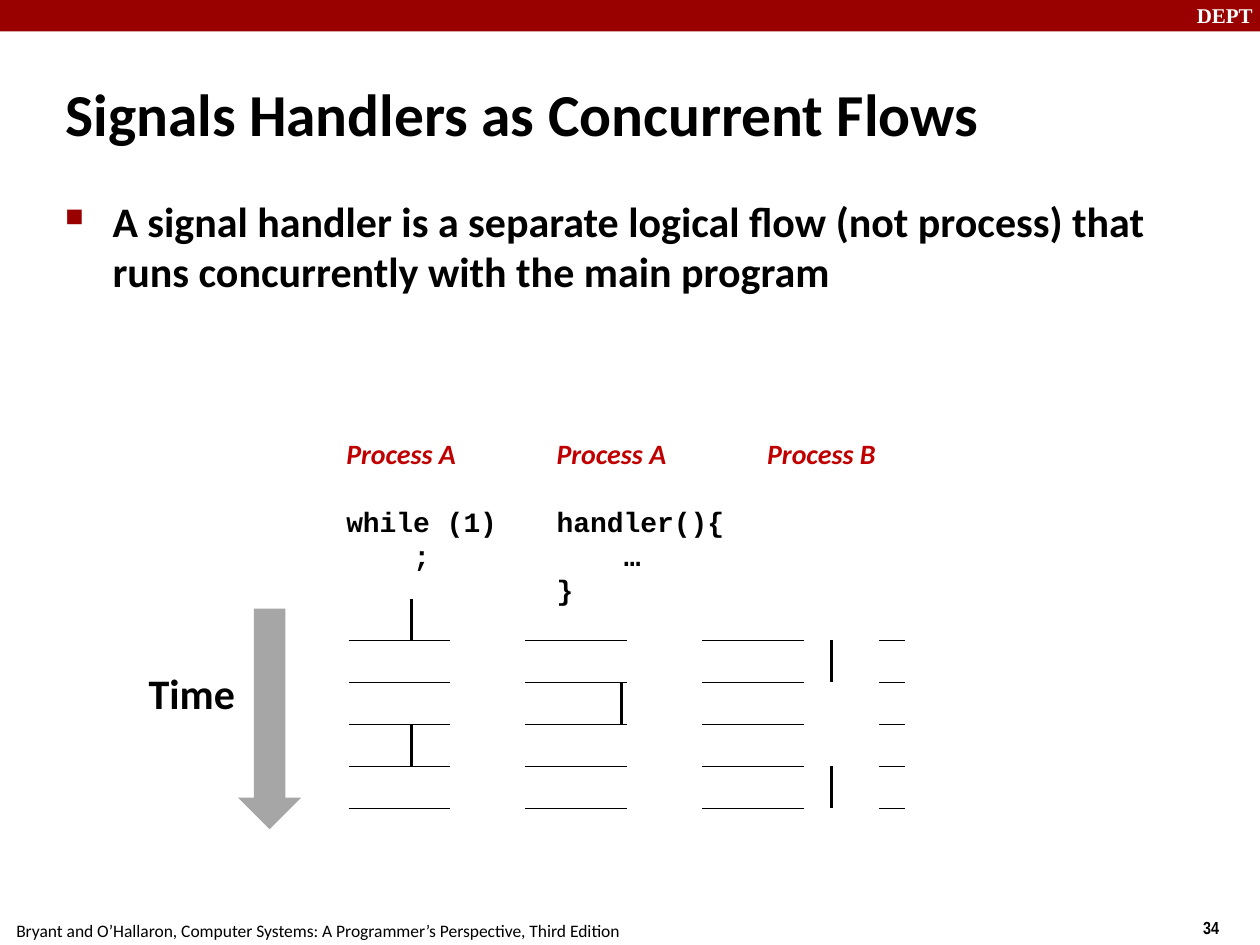
from typing import NamedTuple

from lxml import etree
from pptx import Presentation
from pptx.dml.color import RGBColor
from pptx.enum import shapes, text
from pptx.oxml.ns import qn
from pptx.util import Pt

BLACK, WHITE, RED, DARK_RED, GREY = "000000", "FFFFFF", "C00000", "990000", "A6A6A6"
CODE_INDENT = 38.4  # four characters of 16 pt Courier New
FLOW_TOP, STEP = 342, 24
SWITCH_LEFT, SWITCH_RIGHT = 199.2, 517


class Style(NamedTuple):
    size: float
    font: str = "Calibri"
    color: str = BLACK
    bold: bool = True
    italic: bool = False


class Label(NamedTuple):
    text: str
    left: float
    top: float
    width: float
    height: float
    style: Style
    wrap: bool = False


class CodeLine(NamedTuple):
    text: str
    indent: float = 0


class Flow(NamedTuple):
    label: Label
    code: list[CodeLine]
    x: float
    active_steps: list[int]


HEADING = Style(16, color=RED, italic=True)
CODE = Style(16, "Courier New")

LABELS = [
    Label("DEPT", 676.8, -2.2, 48.2, 21.6, Style(12, "Times New Roman", WHITE)),
    Label("34", 680.4, 520.6, 54, 18.7, Style(10, "Arial Narrow")),
    Label("Bryant and O’Hallaron, Computer Systems: A Programmer’s Perspective, "
          "Third Edition", 2.2, 522, 359.3, 18.7, Style(10, bold=False)),
    Label("Time", 77.8, 378, 64.1, 36, Style(24)),
]

FLOWS = [
    Flow(Label("Process A", 190.8, 246.2, 100.8, 83.5, HEADING),
         [CodeLine("while (1)"), CodeLine(";", CODE_INDENT)], 235.2, [0, 3]),
    Flow(Label("Process A", 311, 246.2, 110.2, 103, HEADING),
         [CodeLine("handler(){"), CodeLine("…", CODE_INDENT), CodeLine("}")],
         355.2, [2]),
    Flow(Label("Process B", 431.3, 246.2, 76.3, 25.9, HEADING), [], 475.2, [1, 4]),
]


def rgb(value: str) -> RGBColor:
    return RGBColor.from_string(value)


def apply_style(p, style: Style) -> None:
    p.alignment = text.PP_ALIGN.LEFT
    f = p.font
    f.size, f.name = Pt(style.size), style.font
    f.bold, f.italic = style.bold, style.italic
    f.color.rgb = rgb(style.color)


def set_indent(p, left: float, first: float = 0) -> None:
    pPr = p._p.get_or_add_pPr()
    pPr.set("marL", str(Pt(left)))
    pPr.set("indent", str(Pt(first)))


def add_label(slide, label: Label):
    sp = slide.shapes.add_textbox(Pt(label.left), Pt(label.top),
                                  Pt(label.width), Pt(label.height))
    tf = sp.text_frame
    tf.word_wrap = label.wrap
    p = tf.paragraphs[0]
    p.text = label.text
    apply_style(p, label.style)
    return tf


def add_block(slide, kind, left: float, top: float, width: float, height: float,
              color: str) -> None:
    sp = slide.shapes.add_shape(kind, Pt(left), Pt(top), Pt(width), Pt(height))
    sp.shadow.inherit = False
    sp.fill.solid()
    sp.fill.fore_color.rgb = rgb(color)
    sp.line.fill.background()


def add_line(slide, x1: float, y1: float, x2: float, y2: float, width: float):
    cx = slide.shapes.add_connector(shapes.MSO_CONNECTOR.STRAIGHT,
                                    Pt(x1), Pt(y1), Pt(x2), Pt(y2))
    cx.line.color.rgb = rgb(BLACK)
    cx.line.width = Pt(width)
    etree.SubElement(cx._element.spPr, qn("a:effectLst"))
    return cx


def add_dashes(cx, dash: float, gap: float) -> None:
    """Set dash and gap lengths, given in points."""
    width = cx.line.width.pt
    pattern = etree.SubElement(cx.line._get_or_add_ln(), qn("a:custDash"))
    etree.SubElement(pattern, qn("a:ds"), d=str(round(dash / width * 100000)),
                     sp=str(round(gap / width * 100000)))


def add_title(slide, title: str) -> None:
    sp = slide.shapes.title
    sp.left, sp.top, sp.width, sp.height = Pt(30.2), Pt(34.6), Pt(597.6), Pt(59.8)
    tf = sp.text_frame
    tf.text = title
    tf.auto_size = text.MSO_AUTO_SIZE.NONE
    tf.vertical_anchor = text.MSO_ANCHOR.MIDDLE
    apply_style(tf.paragraphs[0], Style(34))


def add_bullet(slide, label: Label) -> None:
    p = add_label(slide, label).paragraphs[0]
    p.space_before = Pt(4.8)
    set_indent(p, 27, -27)
    pPr = p._p.get_or_add_pPr()
    defaults = pPr.find(qn("a:defRPr"))
    color = etree.Element(qn("a:buClr"))
    etree.SubElement(color, qn("a:srgbClr"), val=DARK_RED)
    size = etree.Element(qn("a:buSzPct"), val="60000")
    char = etree.Element(qn("a:buChar"), char="■")
    for el in (color, size, char):
        defaults.addprevious(el)


def add_flow(slide, flow: Flow) -> None:
    tf = add_label(slide, flow.label)
    for i, line in enumerate(flow.code):
        p = tf.add_paragraph()
        p.text = line.text
        apply_style(p, CODE)
        p.line_spacing = Pt(19.4)
        p.space_before = Pt(0 if i else 19.4)
        set_indent(p, line.indent)
    for step in flow.active_steps:
        y = FLOW_TOP + step * STEP
        add_line(slide, flow.x, y, flow.x, y + STEP, 2)


def main() -> None:
    prs = Presentation()
    prs.slide_width, prs.slide_height = Pt(720), Pt(540)
    slide = prs.slides.add_slide(prs.slide_layouts[5])

    add_block(slide, shapes.MSO_SHAPE.RECTANGLE, 0, 0, 720, 18, DARK_RED)
    add_title(slide, "Signals Handlers as Concurrent Flows")
    add_bullet(slide, Label(
        "A signal handler is a separate logical flow (not process) that runs "
        "concurrently with the main program",
        30.2, 108, 653.8, 102.2, Style(24), wrap=True))
    for label in LABELS:
        add_label(slide, label)
    for flow in FLOWS:
        add_flow(slide, flow)
    for step in range(1, 6):
        y = FLOW_TOP + step * STEP
        add_dashes(add_line(slide, SWITCH_LEFT, y, SWITCH_RIGHT, y, 0.25), 57, 42)
    add_block(slide, shapes.MSO_SHAPE.DOWN_ARROW, 136.1, 347.8, 36, 126, GREY)

    prs.save("out.pptx")


if __name__ == "__main__":
    main()
